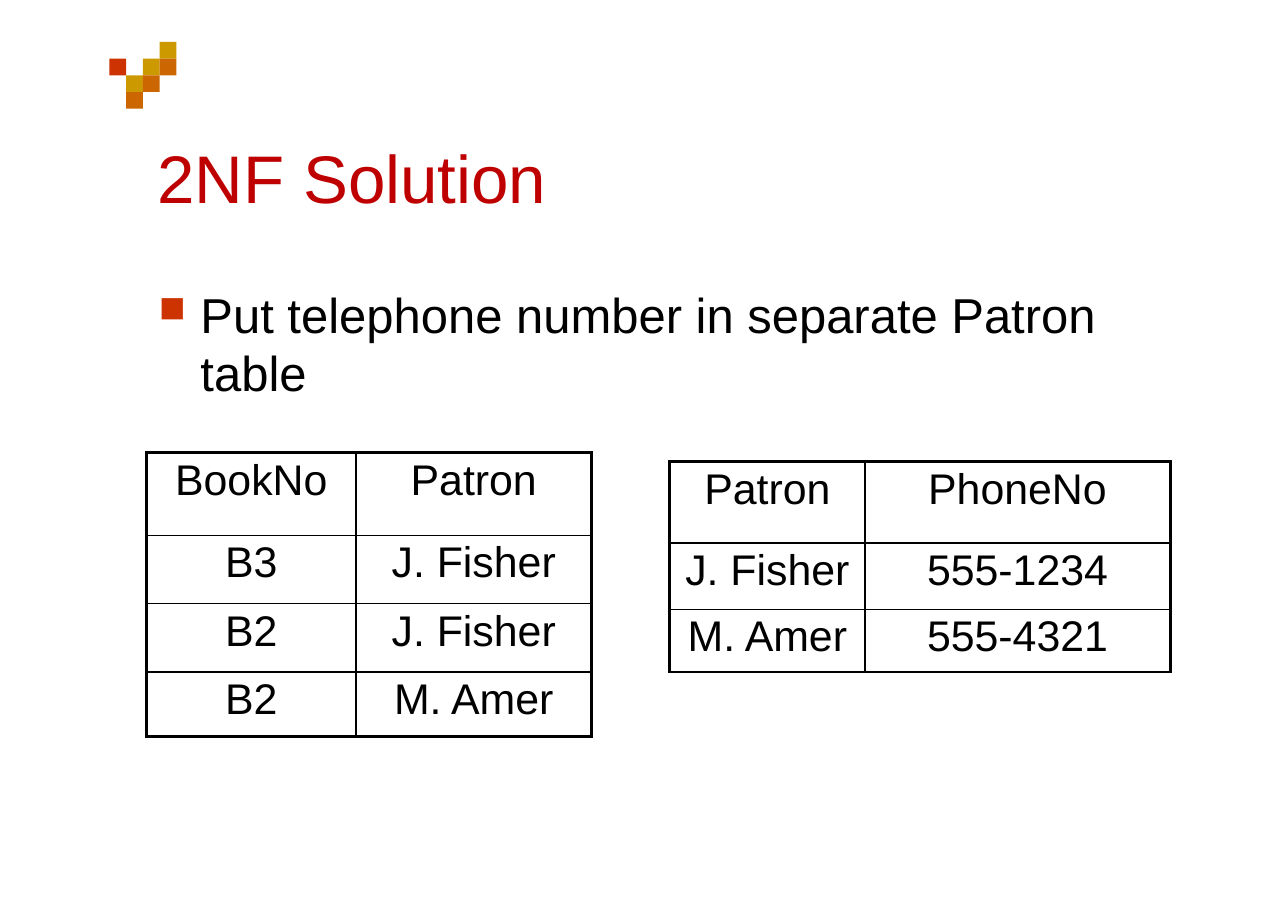
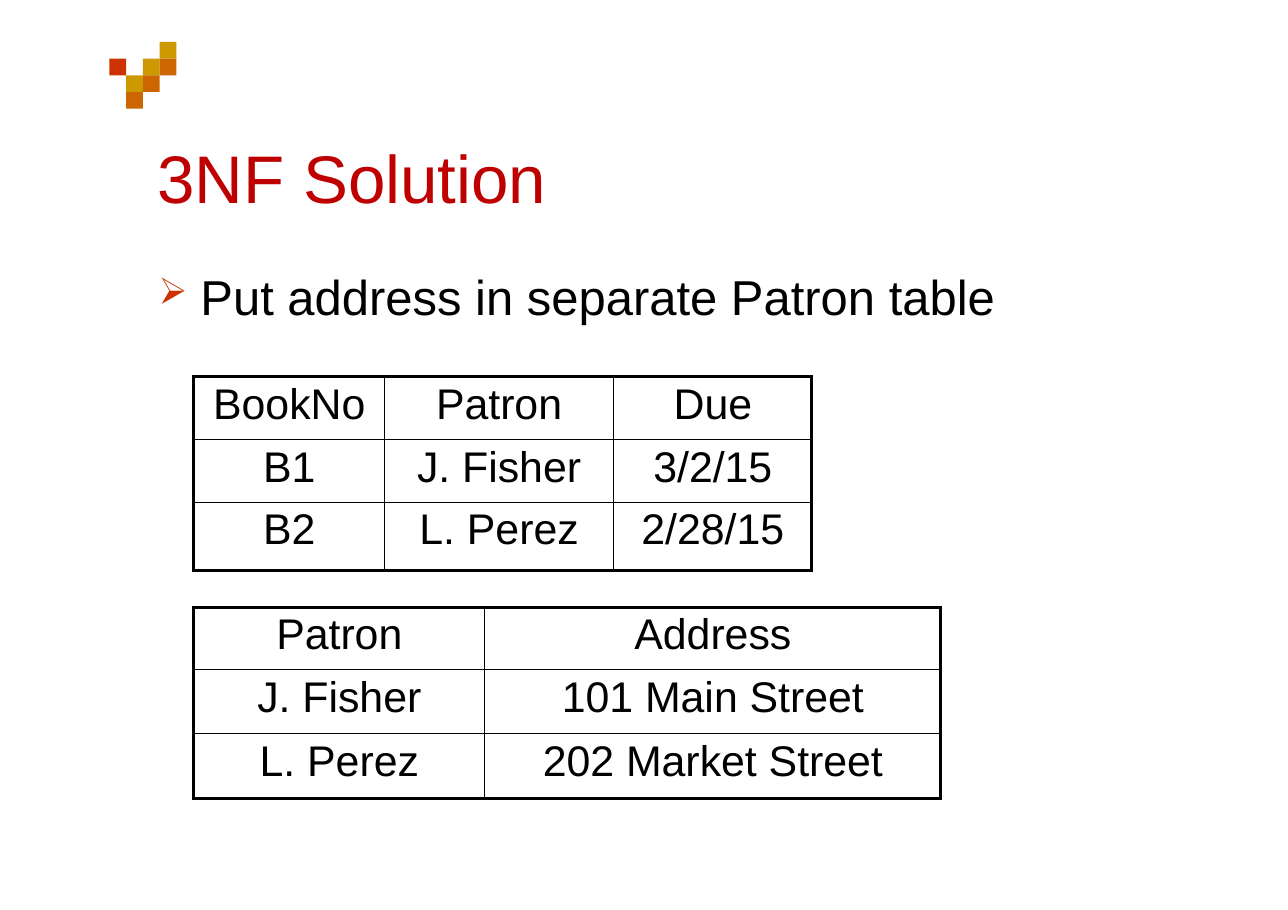
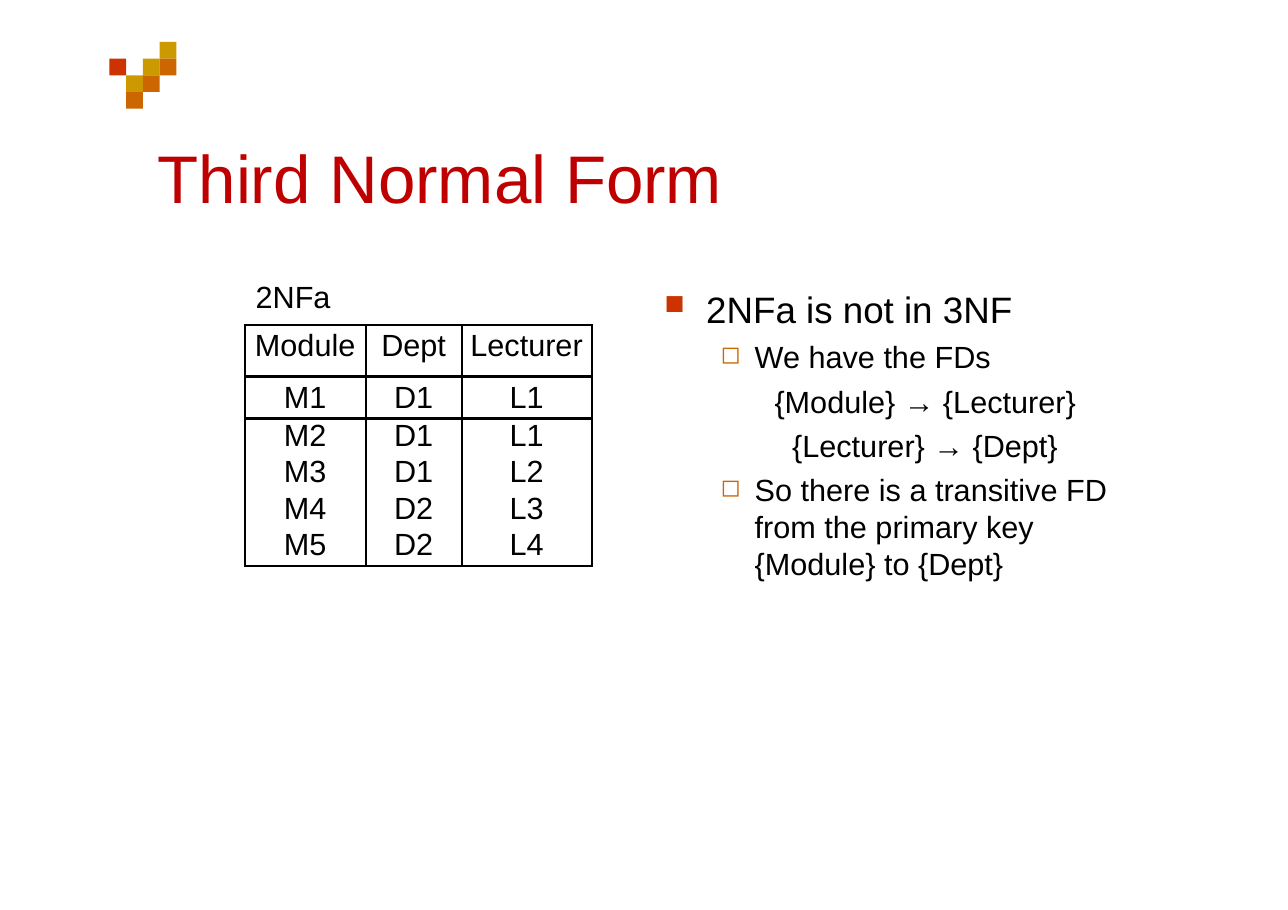
from dataclasses import dataclass
from typing import Optional

from lxml.etree import SubElement
from pptx import Presentation
from pptx.dml.color import RGBColor
from pptx.enum.shapes import MSO_SHAPE
from pptx.enum.text import MSO_ANCHOR, MSO_AUTO_SIZE, PP_ALIGN
from pptx.oxml import parse_xml
from pptx.oxml.ns import nsdecls, qn
from pptx.presentation import Presentation as Deck
from pptx.slide import Slide, SlideLayout
from pptx.text.text import TextFrame
from pptx.util import Inches, Length, Pt

FONT = "Arial"
BLACK = RGBColor(0x00, 0x00, 0x00)
TITLE_RED = RGBColor(0xBF, 0x00, 0x00)
RED = RGBColor(0xCC, 0x33, 0x00)
ORANGE = RGBColor(0xCC, 0x66, 0x00)
GOLD = RGBColor(0xCC, 0x99, 0x00)

# The slide is a grid of 116.9 columns by 82.6 rows
GRID_STEP = 0.1
SLIDE_COLUMNS, SLIDE_ROWS = 116.9, 82.6
MARGIN = 14.3
TITLE_TOP, TITLE_HEIGHT = 12.4, 7.5

# Corner mosaic: row and column of every tile, by colour
TILE = 1.52
MOSAIC_LEFT, MOSAIC_TOP = 9.94, 3.8
MOSAIC = {
    RED: [(1, 0)],
    GOLD: [(0, 3), (1, 2), (2, 1)],
    ORANGE: [(1, 3), (2, 2), (3, 1)],
}


@dataclass(frozen=True)
class Bullet:
    character: str
    color: RGBColor
    percent: int


@dataclass(frozen=True)
class Item:
    text: str
    size: float = 32
    bullet: Optional[Bullet] = None
    indent: float = 3.9
    hanging: float = 3.8
    space_before: float = 0
    level: int = 0


@dataclass(frozen=True)
class Grid:
    """A ruled table; row_rules lists line weights from top to bottom."""
    left: float
    top: float
    columns: tuple[float, ...]
    rows: tuple[float, ...]
    row_rules: tuple[float, ...]
    cells: tuple[tuple[str, ...], ...]
    size: float = 28
    outer: float = 2.25
    inner: float = 1


SQUARE = Bullet("■", RED, 75)
ARROW = Bullet("➢", RED, 75)
HOLLOW = Bullet("◻", ORANGE, 80)


def grid(steps: float) -> Length:
    return Inches(steps * GRID_STEP)


def write(frame: TextFrame, text: str, *, size: float, color: RGBColor = BLACK,
          align: PP_ALIGN = PP_ALIGN.LEFT, bullet: Optional[Bullet] = None,
          indent: float = 0, hanging: float = 0, space_before: float = 0,
          level: int = 0) -> None:
    """Fill the empty first paragraph, or add one more."""
    paragraph = frame.paragraphs[0] if not frame.text else frame.add_paragraph()
    paragraph.alignment = align
    paragraph.level = level
    paragraph.space_before = Pt(space_before)
    properties = paragraph._p.get_or_add_pPr()
    properties.set("marL", str(grid(indent)))
    properties.set("indent", str(-grid(hanging)))
    if bullet:
        bullet_color = SubElement(properties, qn("a:buClr"))
        SubElement(bullet_color, qn("a:srgbClr"), val=str(bullet.color))
        SubElement(properties, qn("a:buSzPct"), val=str(bullet.percent * 1000))
        SubElement(properties, qn("a:buChar"), char=bullet.character)
    run = paragraph.add_run()
    run.text = text
    run.font.name = FONT
    run.font.size = Pt(size)
    run.font.color.rgb = color


def clear_frame(frame: TextFrame) -> None:
    frame.word_wrap = True
    frame.auto_size = MSO_AUTO_SIZE.NONE
    frame.vertical_anchor = MSO_ANCHOR.TOP
    frame.margin_left = frame.margin_right = 0
    frame.margin_top = frame.margin_bottom = 0


def add_mosaic(slide: Slide, layout: SlideLayout) -> None:
    """Draw the tiles and move them to the layout, where all slides share them."""
    for color, places in MOSAIC.items():
        for row, column in places:
            tile = slide.shapes.add_shape(
                MSO_SHAPE.RECTANGLE, grid(MOSAIC_LEFT + column * TILE),
                grid(MOSAIC_TOP + row * TILE), grid(TILE), grid(TILE))
            tile.shadow.inherit = False
            tile.fill.solid()
            tile.fill.fore_color.rgb = color
            tile.line.fill.background()
            layout.shapes.element.append(tile.element)


def add_title_slide(presentation: Deck, layout: SlideLayout, text: str,
                    width: float) -> Slide:
    slide = presentation.slides.add_slide(layout)
    title = slide.shapes.title
    title.left, title.top = grid(MARGIN), grid(TITLE_TOP)
    title.width, title.height = grid(width), grid(TITLE_HEIGHT)
    clear_frame(title.text_frame)
    write(title.text_frame, text, size=44, color=TITLE_RED)
    return slide


def add_text(slide: Slide, left: float, top: float, width: float, height: float,
             items: list[Item]) -> None:
    box = slide.shapes.add_textbox(grid(left), grid(top), grid(width), grid(height))
    clear_frame(box.text_frame)
    for item in items:
        write(box.text_frame, item.text, size=item.size, bullet=item.bullet,
              indent=item.indent, hanging=item.hanging,
              space_before=item.space_before, level=item.level)


def border(side: str, weight: float):
    paint = (f'<a:solidFill><a:srgbClr val="{BLACK}"/></a:solidFill>'
             if weight else "<a:noFill/>")
    return parse_xml(f'<a:ln{side} {nsdecls("a")} w="{Pt(weight)}">{paint}</a:ln{side}>')


def add_grid(slide: Slide, spec: Grid) -> None:
    table = slide.shapes.add_table(
        len(spec.rows), len(spec.columns), grid(spec.left), grid(spec.top),
        grid(sum(spec.columns)), grid(sum(spec.rows))).table
    table.first_row = table.horz_banding = False
    for column, width in zip(table.columns, spec.columns):
        column.width = grid(width)
    for row, height in zip(table.rows, spec.rows):
        row.height = grid(height)
    column_rules = (spec.outer, *[spec.inner] * (len(spec.columns) - 1), spec.outer)
    for r, texts in enumerate(spec.cells):
        for c, text in enumerate(texts):
            cell = table.cell(r, c)
            cell.fill.background()
            cell.vertical_anchor = MSO_ANCHOR.TOP
            cell.margin_left = cell.margin_right = cell.margin_bottom = 0
            # Rows just high enough for one line keep no top margin
            cell.margin_top = grid(0.35) if spec.rows[r] > 3.5 else 0
            write(cell.text_frame, text, size=spec.size, align=PP_ALIGN.CENTER)
            weights = {"L": column_rules[c], "R": column_rules[c + 1],
                       "T": spec.row_rules[r], "B": spec.row_rules[r + 1]}
            for position, (side, weight) in enumerate(weights.items()):
                cell._tc.get_or_add_tcPr().insert(position, border(side, weight))


def main() -> None:
    presentation = Presentation()
    presentation.slide_width = grid(SLIDE_COLUMNS)
    presentation.slide_height = grid(SLIDE_ROWS)
    layout = presentation.slide_layouts[5]

    # Second normal form
    slide = add_title_slide(presentation, layout, "2NF Solution", 36)
    add_mosaic(slide, layout)
    add_text(slide, MARGIN, 25.8, 86, 10.9,
             [Item("Put telephone number in separate Patron table", bullet=SQUARE)])
    add_grid(slide, Grid(
        13.3, 41.1, (19, 21.4), (7.5, 6.2, 6.2, 5.9), (2.25, 1, 1, 1, 2.25),
        (("BookNo", "Patron"), ("B3", "J. Fisher"),
         ("B2", "J. Fisher"), ("B2", "M. Amer"))))
    add_grid(slide, Grid(
        60.8, 41.9, (17.7, 27.7), (7.4, 6, 5.7), (2.25, 1, 1, 2.25),
        (("Patron", "PhoneNo"), ("J. Fisher", "555-1234"), ("M. Amer", "555-4321"))))

    # Third normal form
    slide = add_title_slide(presentation, layout, "3NF Solution", 36)
    add_text(slide, MARGIN, 24.2, 77, 5.6,
             [Item("Put address in separate Patron table", bullet=ARROW)])
    add_grid(slide, Grid(
        17.6, 34.2, (17.3, 20.8, 18), (5.7, 5.7, 6.2), (2.25, 1, 1, 2.25),
        (("BookNo", "Patron", "Due"), ("B1", "J. Fisher", "3/2/15"),
         ("B2", "L. Perez", "2/28/15"))))
    add_grid(slide, Grid(
        17.6, 55.1, (26.4, 41.4), (5.7, 5.8, 5.9), (2.25, 1, 1, 2.25),
        (("Patron", "Address"), ("J. Fisher", "101 Main Street"),
         ("L. Perez", "202 Market Street"))))

    # Transitive dependency
    slide = add_title_slide(presentation, layout, "Third Normal Form", 52)
    add_text(slide, 60.2, 26, 41, 26.7, [
        Item("2NFa is not in 3NF", 24, SQUARE),
        Item("We have the FDs", 20, HOLLOW, 8.3, 3.1, 5, 1),
        Item("{Module} → {Lecturer}", 20, None, 10.1, 0, 5, 1),
        Item("{Lecturer} → {Dept}", 20, None, 11.7, 0, 5, 1),
        Item("So there is a transitive FD from the primary key {Module} to {Dept}",
             20, HOLLOW, 8.3, 3.1, 5, 1),
    ])
    add_text(slide, 23.2, 25.2, 7.5, 3.6, [Item("2NFa", 20, indent=0, hanging=0)])
    add_grid(slide, Grid(
        22.2, 29.5, (11, 8.7, 11.8), (4.7, 3.8, 3.3, 3.3, 3.3, 3.5),
        (1.5, 2.25, 2.25, 0, 0, 0, 1.5),
        (("Module", "Dept", "Lecturer"), ("M1", "D1", "L1"), ("M2", "D1", "L1"),
         ("M3", "D1", "L2"), ("M4", "D2", "L3"), ("M5", "D2", "L4")),
        size=20, outer=1.5, inner=1.5))

    presentation.save("out.pptx")


if __name__ == "__main__":
    main()
